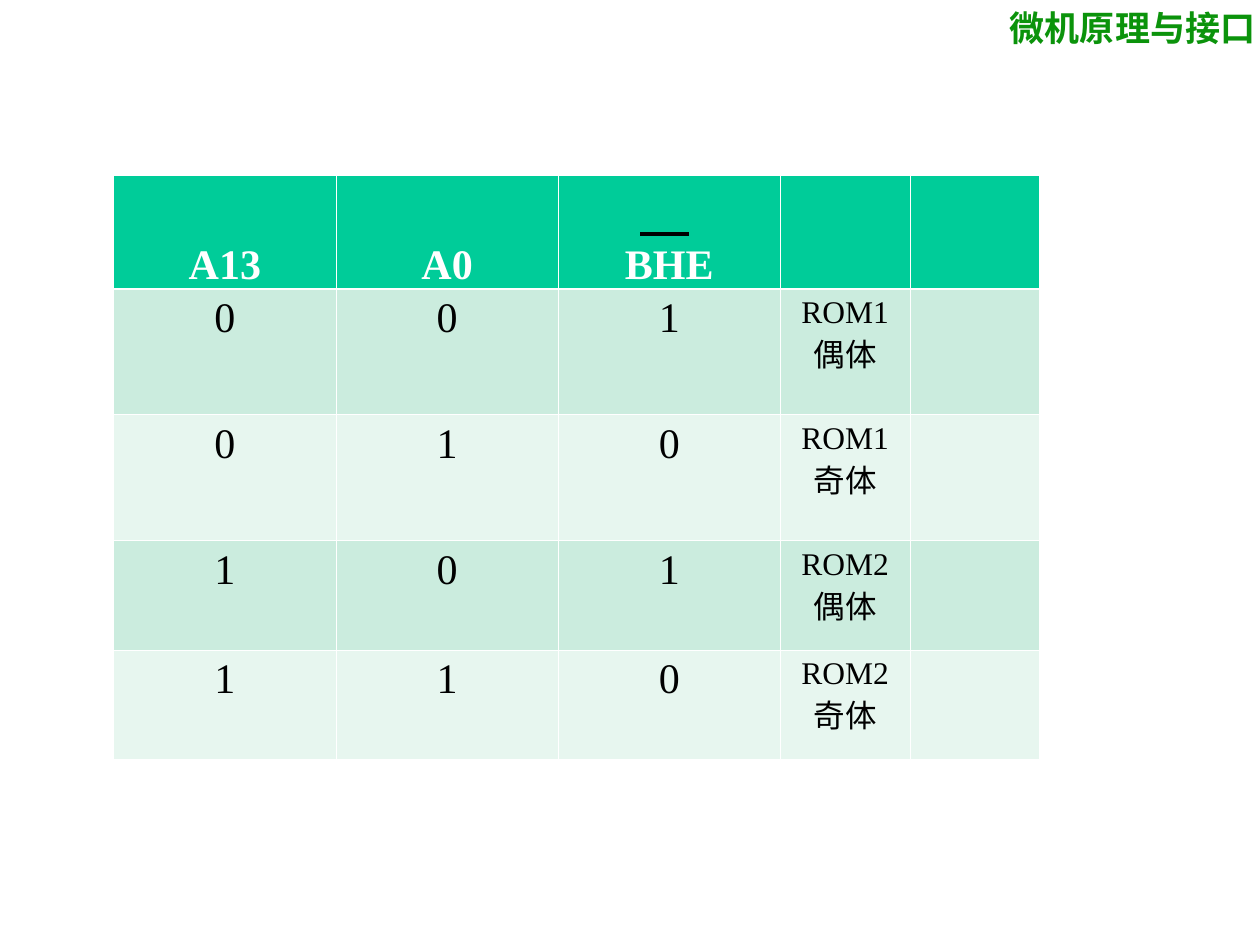
from dataclasses import dataclass

from lxml.etree import SubElement
from pptx import Presentation
from pptx.dml.color import RGBColor
from pptx.enum.shapes import MSO_CONNECTOR
from pptx.enum.text import MSO_ANCHOR, PP_ALIGN
from pptx.oxml import parse_xml
from pptx.oxml.ns import nsdecls, qn
from pptx.slide import Slide
from pptx.table import _Cell
from pptx.text.text import _Paragraph
from pptx.util import Pt

FONT = "Times New Roman"
BLACK = "000000"
WHITE = "FFFFFF"
GREEN = "0B930B"
HEADER_FILL = "00CC99"
BAND_FILLS = ("CBECDE", "E7F6EF")
THIN, THICK = 0.45, 1.47
COLUMN_WIDTHS = (127, 127, 127, 74, 74)


@dataclass(frozen=True)
class Row:
    height: float
    texts: tuple[str, ...]


ROWS = (
    Row(65, ("A13", "A0", "BHE", "", "")),
    Row(72, ("0", "0", "1", "ROM1偶体", "")),
    Row(72, ("0", "1", "0", "ROM1奇体", "")),
    Row(62.5, ("1", "0", "1", "ROM2偶体", "")),
    Row(62.5, ("1", "1", "0", "ROM2奇体", "")),
)


def color(value: str) -> RGBColor:
    return RGBColor.from_string(value)


def format_paragraph(para: _Paragraph, size: float, ink: str, bold: bool) -> None:
    para.font.name = FONT
    para.font.size = Pt(size)
    para.font.bold = bold
    para.font.color.rgb = color(ink)


def set_borders(cell: _Cell, top: float, bottom: float) -> None:
    properties = cell._tc.get_or_add_tcPr()
    widths = {"lnL": THIN, "lnR": THIN, "lnT": top, "lnB": bottom}
    for position, (side, width) in enumerate(widths.items()):
        border = parse_xml(
            f'<a:{side} {nsdecls("a")} w="{Pt(width)}"><a:solidFill>'
            f'<a:srgbClr val="{WHITE}"/></a:solidFill></a:{side}>'
        )
        properties.insert(position, border)


def fill_cell(cell: _Cell, text: str, row_index: int, column_index: int) -> None:
    is_header = row_index == 0
    fill = HEADER_FILL if is_header else BAND_FILLS[(row_index - 1) % 2]
    cell.fill.solid()
    cell.fill.fore_color.rgb = color(fill)
    set_borders(
        cell,
        top=THICK if row_index == 1 else THIN,
        bottom=THICK if is_header else THIN,
    )
    if is_header:
        cell.vertical_anchor = MSO_ANCHOR.BOTTOM
        cell.margin_bottom = Pt(0)
    if text:
        cell.text = text
        para = cell.text_frame.paragraphs[0]
        para.alignment = PP_ALIGN.CENTER
        size = 18 if column_index == 3 else 24
        format_paragraph(para, size, WHITE if is_header else BLACK, is_header)


def add_course_label(page: Slide) -> None:
    box = page.shapes.add_textbox(Pt(570), Pt(0), Pt(162), Pt(32))
    box.text_frame.word_wrap = True
    para = box.text_frame.paragraphs[0]
    para.text = "微机原理与接口"
    format_paragraph(para, 20, GREEN, True)


def add_address_table(page: Slide) -> None:
    table = page.shapes.add_table(
        len(ROWS), len(COLUMN_WIDTHS), Pt(65), Pt(100),
        Pt(sum(COLUMN_WIDTHS)), Pt(sum(row.height for row in ROWS)),
    ).table
    for column, width in zip(table.columns, COLUMN_WIDTHS):
        column.width = Pt(width)
    for row_index, row in enumerate(ROWS):
        table.rows[row_index].height = Pt(row.height)
        for column_index, text in enumerate(row.texts):
            cell = table.cell(row_index, column_index)
            fill_cell(cell, text, row_index, column_index)


def add_overbar(page: Slide) -> None:
    bar = page.shapes.add_connector(
        MSO_CONNECTOR.STRAIGHT, Pt(365.76), Pt(133.92), Pt(393.84), Pt(133.92)
    )
    bar.line.color.rgb = color(BLACK)
    bar.line.width = Pt(2.25)
    SubElement(bar._element.spPr, qn("a:effectLst"))


def main() -> None:
    deck = Presentation()
    deck.slide_width = Pt(720)
    deck.slide_height = Pt(540)
    page = deck.slides.add_slide(deck.slide_layouts.get_by_name("Blank"))
    add_course_label(page)
    add_address_table(page)
    add_overbar(page)
    deck.save("out.pptx")


if __name__ == "__main__":
    main()
